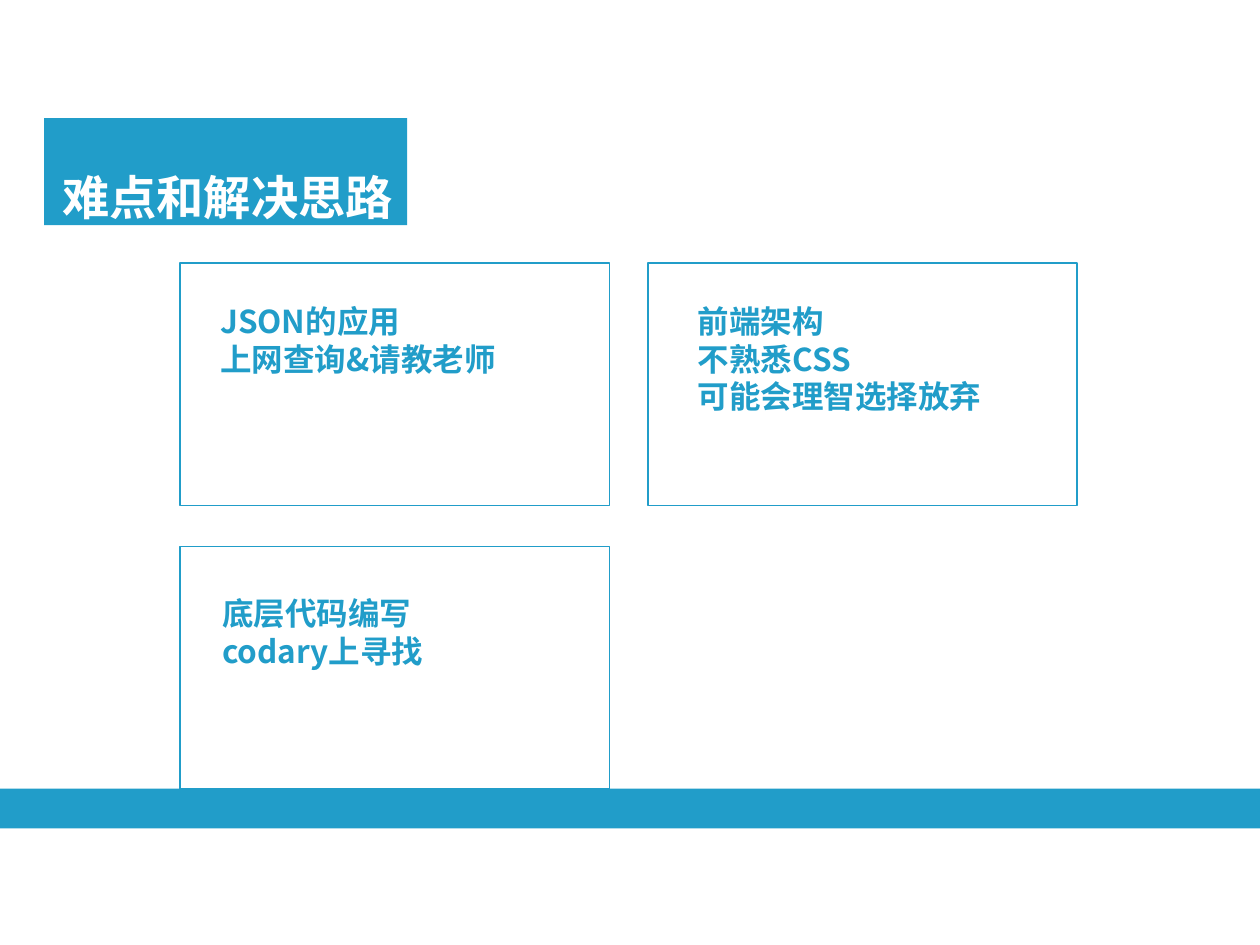
import pptx
import pptx.util
import pptx.dml.color
import pptx.enum.shapes
import pptx.enum.text
import lxml.etree
from pptx.oxml.ns import qn

Cm = pptx.util.Cm
Pt = pptx.util.Pt
FONT = "Noto Sans CJK SC"
HUES = {"blue": "219DC9", "white": "FFFFFF"}

LEFT, TOP = 3.63, 5.31
WIDE, HIGH = 8.66, 4.88
STEP_X, STEP_Y = 9.43, 5.71

CARDS = [
    (0, 0, (4.19, 5.96, 6.6, 1.78), ["JSON的应用", "上网查询&请教老师"]),
    (1, 0, (13.82, 5.96, 6.4, 2.7), ["前端架构", "不熟悉CSS", "可能会理智选择放弃"]),
    (0, 1, (4.23, 11.85, 4.9, 1.78), ["底层代码编写", "codary上寻找"]),
]


def tint(name):
    return pptx.dml.color.RGBColor.from_string(HUES[name])


def add_rect(slide, x, y, w, h, fill, line=None):
    kind = pptx.enum.shapes.MSO_SHAPE.RECTANGLE
    rect = slide.shapes.add_shape(kind, Cm(x), Cm(y), Cm(w), Cm(h))
    rect.shadow.inherit = False
    rect.fill.solid()
    rect.fill.fore_color.rgb = tint(fill)
    if line:
        rect.line.color.rgb = tint(line)
        rect.line.width = Pt(1)
    else:
        rect.line.fill.background()


def add_run(para, text, size, hue):
    run = para.add_run()
    run.text = text
    font = run.font
    font.name = FONT
    font.size = Pt(size)
    font.bold = True
    font.color.rgb = tint(hue)
    east = lxml.etree.SubElement(font._element, qn("a:ea"))
    east.set("typeface", FONT)


def fill_text(box, lines, size, hue):
    frame = box.text_frame
    frame.word_wrap = False
    frame.auto_size = pptx.enum.text.MSO_AUTO_SIZE.NONE
    frame.vertical_anchor = pptx.enum.text.MSO_ANCHOR.TOP
    for i, line in enumerate(lines):
        para = frame.add_paragraph() if i else frame.paragraphs[0]
        para.alignment = pptx.enum.text.PP_ALIGN.LEFT
        para.line_spacing = Pt(size * 1.2)
        add_run(para, line, size, hue)


def add_title(slide, text):
    add_rect(slide, 0.89, 2.38, 7.32, 2.16, "blue")
    title = slide.shapes.title
    title.left, title.top = Cm(1), Cm(3.26)
    title.width, title.height = Cm(7.4), Cm(1.4)
    fill_text(title, [text], 27, "white")
    slide.shapes.element.append(title.element)


def add_card(slide, col, row, spot, lines):
    x, y = LEFT + col * STEP_X, TOP + row * STEP_Y
    add_rect(slide, x, y, WIDE, HIGH, "white", "blue")
    box = slide.shapes.add_textbox(*[Cm(n) for n in spot])
    fill_text(box, lines, 18, "blue")


def main():
    deck = pptx.Presentation()
    deck.slide_width, deck.slide_height = Cm(25.4), Cm(19.05)
    slide = deck.slides.add_slide(deck.slide_layouts[5])
    add_rect(slide, 0, 15.9, 25.4, 0.8, "blue")
    add_title(slide, "难点和解决思路")
    for card in CARDS:
        add_card(slide, *card)
    deck.save("out.pptx")


if __name__ == "__main__":
    main()
